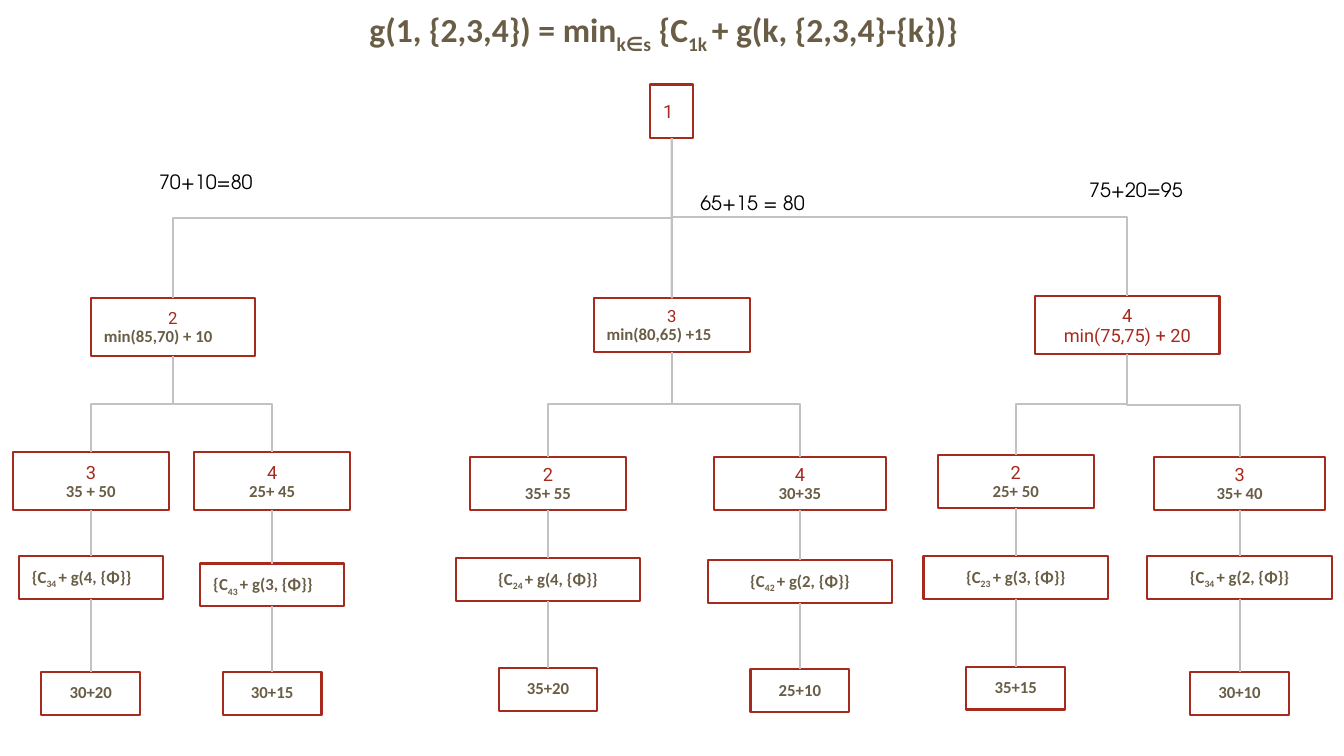
import dataclasses

import pptx
import pptx.dml.color
import pptx.enum.shapes
import pptx.enum.text
import pptx.oxml
import pptx.oxml.ns
import pptx.util

Cm = pptx.util.Cm
Pt = pptx.util.Pt
LEFT = pptx.enum.text.PP_ALIGN.LEFT
CENTER = pptx.enum.text.PP_ALIGN.CENTER
BOTTOM_SITE, TOP_SITE = 2, 0


@dataclasses.dataclass(frozen=True)
class Theme:
    city: str = "A72A1E"
    formula: str = "695D46"
    branch: str = "C2C2C2"
    total: str = "000000"
    city_font: str = "Roboto"
    formula_font: str = "Calibri"
    total_font: str = "TeX Gyre Adventor"
    title_size: float = 24
    total_size: float = 14
    city_size: float = 13
    small_size: float = 12
    line_width: float = 1.5
    tight: float = 0.9


THEME = Theme()


def write(paragraph, text, *, font, size, color, bold=False, align=CENTER, spacing=None):
    paragraph.alignment = align
    if spacing:
        paragraph.line_spacing = spacing
    for position, piece in enumerate(text.split("~")):
        run = paragraph.add_run()
        run.text = piece
        run.font.name = font
        run.font.size = Pt(size)
        run.font.bold = bold
        run.font.color.rgb = pptx.dml.color.RGBColor.from_string(color)
        if position % 2:
            run._r.get_or_add_rPr().set("baseline", "-25000")


class TreeSlide:
    def __init__(self, slide, theme):
        self.slide = slide
        self.theme = theme
        self.city_style = dict(font=theme.city_font, size=theme.city_size, color=theme.city)
        self.formula_style = dict(font=theme.formula_font, size=theme.small_size,
                                  color=theme.formula, bold=True, spacing=theme.tight)

    def set_frame(self, frame, inset, anchor):
        frame.word_wrap = True
        frame.auto_size = pptx.enum.text.MSO_AUTO_SIZE.NONE
        frame.vertical_anchor = anchor
        frame.margin_left = frame.margin_right = Cm(inset)
        frame.margin_top = frame.margin_bottom = Cm(inset)

    def title(self, text):
        title = self.slide.shapes.title
        title.left, title.top, title.width, title.height = Cm(0), Cm(0), Cm(33.45), Cm(1.45)
        self.set_frame(title.text_frame, 0.25, pptx.enum.text.MSO_ANCHOR.TOP)
        write(title.text_frame.paragraphs[0], text,
              **{**self.formula_style, "size": self.theme.title_size})

    def total(self, text, left, top, width):
        label = self.slide.shapes.add_textbox(Cm(left), Cm(top), Cm(width), Cm(1.12))
        self.set_frame(label.text_frame, 0.25, pptx.enum.text.MSO_ANCHOR.TOP)
        write(label.text_frame.paragraphs[0], text, font=self.theme.total_font,
              size=self.theme.total_size, color=self.theme.total, align=LEFT)

    def node(self, center, top, width, height, *lines):
        node = self.slide.shapes.add_shape(
            pptx.enum.shapes.MSO_SHAPE.RECTANGLE,
            Cm(center - width / 2), Cm(top), Cm(width), Cm(height))
        node.shadow.inherit = False
        node.fill.background()
        node.line.color.rgb = pptx.dml.color.RGBColor.from_string(self.theme.city)
        node.line.width = Pt(self.theme.line_width)
        self.set_frame(node.text_frame, 0.33, pptx.enum.text.MSO_ANCHOR.MIDDLE)
        for index, (text, style) in enumerate(lines):
            frame = node.text_frame
            write(frame.add_paragraph() if index else frame.paragraphs[0], text, **style)
        return node

    def link(self, parent, child):
        start_x, start_y = parent.left + parent.width // 2, parent.top + parent.height
        end_x, end_y = child.left + child.width // 2, child.top
        across, down = end_x - start_x, end_y - start_y
        bent = abs(across) > Cm(0.1)
        kinds = pptx.enum.shapes.MSO_CONNECTOR
        link = self.slide.shapes.add_connector(
            kinds.ELBOW if bent else kinds.STRAIGHT, start_x, start_y, end_x, end_y)
        ends = [(parent, BOTTOM_SITE), (child, TOP_SITE)]
        if across < 0 and bent:
            ends.reverse()
        link.begin_connect(*ends[0])
        link.end_connect(*ends[1])
        if bent:
            link.width, link.height = down, abs(across)
            link.left = (start_x + end_x - down) // 2
            link.top = (start_y + end_y - abs(across)) // 2
            transform = link._element.spPr.find(pptx.oxml.ns.qn("a:xfrm"))
            transform.set("rot", "16200000")
            transform.set("flipH", "1" if across > 0 else "0")
            transform.set("flipV", "0")
        link.line.color.rgb = pptx.dml.color.RGBColor.from_string(self.theme.branch)
        link.line.width = Pt(self.theme.line_width)
        link._element.spPr.append(pptx.oxml.parse_xml(
            f"<a:effectLst {pptx.oxml.ns.nsdecls('a')}/>"))

    def chain(self, parent, chain):
        second = self.node(chain.center, chain.top, chain.width, chain.height,
                           (chain.city, self.city_style), (chain.cost, self.formula_style))
        last = self.node(chain.center, chain.last_top, chain.last_width, 1.07,
                         (chain.last, {**self.formula_style, "align": chain.align}))
        result = self.node(chain.center, chain.sum_top, 2.49, 1.07,
                           (chain.sum, self.formula_style))
        for upper, lower in ((parent, second), (second, last), (last, result)):
            self.link(upper, lower)


@dataclasses.dataclass(frozen=True)
class Chain:
    city: str
    cost: str
    last: str
    sum: str
    center: float
    top: float
    last_top: float
    sum_top: float
    width: float = 3.94
    height: float = 1.35
    last_width: float = 4.65
    align: object = CENTER


def main():
    deck = pptx.Presentation()
    deck.slide_width, deck.slide_height = Cm(33.87), Cm(19.05)
    tree = TreeSlide(deck.slides.add_slide(deck.slide_layouts[5]), THEME)
    tree.title("g(1, {2,3,4}) = min~k∈s~ {C~1k ~+ g(k, {2,3,4}-{k})}")

    small_city = {**tree.city_style, "size": THEME.small_size}
    left_formula = {**tree.formula_style, "align": LEFT}
    wide_city = {**tree.city_style, "spacing": THEME.tight}
    narrow = dict(height=1.45, last_width=3.63, align=LEFT)

    root = tree.node(16.93, 2.13, 1.09, 1.35, ("1", {**tree.city_style, "align": LEFT}))
    branches = [
        ((4.36, 7.52, 4.14, 1.45, ("2", small_city), ("min(85,70) + 10", left_formula)), [
            Chain("3", "35 + 50", "{C~34 ~+ g(4, {Φ}}", "30+20",
                  2.29, 11.4, 14.02, 16.94, **narrow),
            Chain("4", "25+ 45", "{C~43 ~+ g(3, {Φ}}", "30+15",
                  6.86, 11.4, 14.2, 16.94, **narrow)]),
        ((16.93, 7.52, 3.94, 1.35, ("3", small_city), ("min(80,65) +15", left_formula)), [
            Chain("2", "35+ 55", "{C~24 ~+ g(4, {Φ}}", "35+20", 13.81, 11.51, 14.07, 16.84),
            Chain("4", "30+35", "{C~42 ~+ g(2, {Φ}}", "25+10",
                  20.16, 11.51, 14.12, 16.87, width=4.32)]),
        ((28.41, 7.47, 4.65, 1.45, ("4", tree.city_style), ("min(75,75) + 20", wide_city)), [
            Chain("2", "25+ 50", "{C~23 ~+ g(3, {Φ}}", "35+15", 25.6, 11.46, 14.02, 16.81),
            Chain("3", "35+ 40", "{C~34 ~+ g(2, {Φ}}", "30+10",
                  31.24, 11.51, 14.02, 16.94, width=4.32)]),
    ]
    for first_city, chains in branches:
        first = tree.node(*first_city)
        tree.link(root, first)
        for chain in chains:
            tree.chain(first, chain)

    tree.total("70+10=80", 3.76, 4.04, 3.4)
    tree.total("65+15 = 80", 17.4, 4.55, 3.63)
    tree.total("75+20=95", 27.2, 4.24, 3.94)
    deck.save("out.pptx")


if __name__ == "__main__":
    main()
